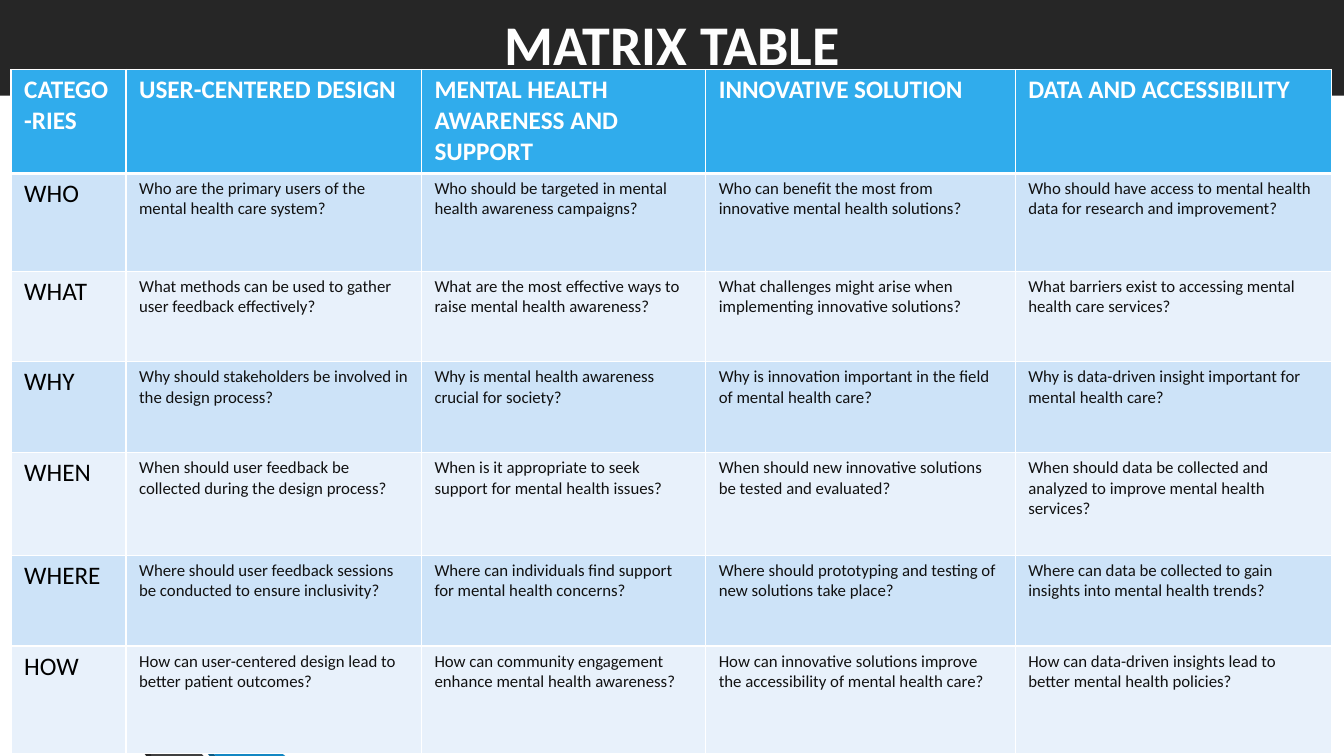
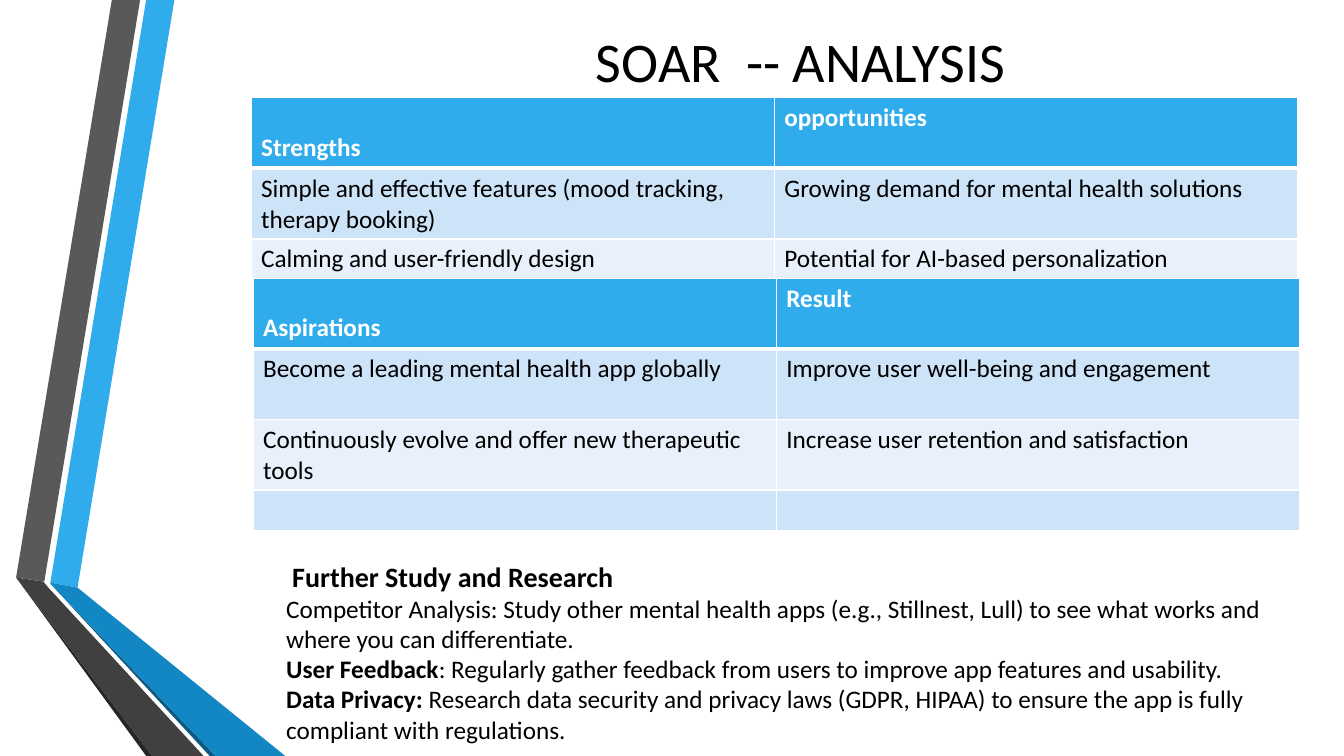
"""Build a mental health matrix slide and a SOAR analysis slide."""
import dataclasses

import lxml.etree
import pptx
import pptx.dml.color
import pptx.enum.shapes
import pptx.enum.text
import pptx.oxml
import pptx.oxml.ns
import pptx.util

ANCHOR = pptx.enum.text.MSO_ANCHOR
CENTER = pptx.enum.text.PP_ALIGN.CENTER


@dataclasses.dataclass(frozen=True)
class Theme:
    font: str = "Calibri"
    accent: str = "30ACEC"
    accent_dark: str = "1287C3"
    accent_shade: str = "0C5A82"
    gray: str = "595959"
    gray_dark: str = "404040"
    band: str = "262626"
    row_odd: str = "CDE3F8"
    row_even: str = "E8F1FB"
    white: str = "FFFFFF"
    title_light: str = "FEFEFE"
    black: str = "000000"
    question: str = "111111"
    title_size: int = 40
    heading_size: int = 20
    body_size: int = 18
    question_size: int = 12


THEME = Theme()

RIBBONS = [
    (THEME.accent, [(0.5, 5.78), (0.77, 5.83), (1.73, 0), (1.45, 0)]),
    (THEME.gray, [(1.39, 0), (1.11, 0), (0.16, 5.73), (0.44, 5.77)]),
    (THEME.band, [(0.16, 5.73), (1.45, 7.5), (1.51, 7.5)]),
    (THEME.accent_shade, [(0.5, 5.79), (2.08, 7.5), (2.14, 7.5)]),
    (THEME.accent_dark, [(0.5, 5.79), (2.14, 7.5), (2.83, 7.5), (0.77, 5.83), (0.5, 5.78)]),
    (THEME.gray_dark, [(2.02, 7.5), (0.48, 5.83), (0.43, 5.77), (0.16, 5.73), (1.51, 7.5)]),
]

MATRIX = [
    ["CATEGO-RIES", "USER-CENTERED DESIGN", "MENTAL HEALTH AWARENESS AND SUPPORT",
     "INNOVATIVE SOLUTION", "DATA AND ACCESSIBILITY"],
    ["WHO", "Who are the primary users of the mental health care system?",
     "Who should be targeted in mental health awareness campaigns?",
     "Who can benefit the most from innovative mental health solutions?",
     "Who should have access to mental health data for research and improvement?"],
    ["WHAT", "What methods can be used to gather user feedback effectively?",
     "What are the most effective ways to raise mental health awareness?",
     "What challenges might arise when implementing innovative solutions?",
     "What barriers exist to accessing mental health care services?"],
    ["WHY", "Why should stakeholders be involved in the design process?",
     "Why is mental health awareness crucial for society?",
     "Why is innovation important in the field of mental health care?",
     "Why is data-driven insight important for mental health care?"],
    ["WHEN", "When should user feedback be collected during the design process?",
     "When is it appropriate to seek support for mental health issues?",
     "When should new innovative solutions be tested and evaluated?",
     "When should data be collected and analyzed to improve mental health services?"],
    ["WHERE", "Where should user feedback sessions be conducted to ensure inclusivity?",
     "Where can individuals find support for mental health concerns?",
     "Where should prototyping and testing of new solutions take place?",
     "Where can data be collected to gain insights into mental health trends?"],
    ["HOW", "How can user-centered design lead to better patient outcomes?",
     "How can community engagement enhance mental health awareness?",
     "How can innovative solutions improve the accessibility of mental health care?",
     "How can data-driven insights lead to better mental health policies?"],
]

STRENGTHS = [
    ["Strengths", "opportunities"],
    ["Simple and effective features (mood tracking, therapy booking)",
     "Growing demand for mental health solutions"],
    ["Calming and user-friendly design", "Potential for AI-based personalization"],
    ["", ""],
]

ASPIRATIONS = [
    ["Aspirations", "Result"],
    ["Become a leading mental health app globally", "Improve user well-being and engagement"],
    ["Continuously evolve and offer new therapeutic tools",
     "Increase user retention and satisfaction"],
    ["", ""],
]

RESEARCH = [
    [("Competitor Analysis: Study other mental health apps (e.g., Stillnest, Lull) "
      "to see what works and where you can differentiate.", False)],
    [("User Feedback", True),
     (": Regularly gather feedback from users to improve app features and usability.", False)],
    [("Data Privacy:", True),
     (" Research data security and privacy laws (GDPR, HIPAA) to ensure the app is fully "
      "compliant with regulations.", False)],
]


def rgb(color):
    return pptx.dml.color.RGBColor.from_string(color)


def inches(*lengths):
    return [pptx.util.Inches(length) for length in lengths]


def drawing_xml(markup):
    return pptx.oxml.parse_xml(markup.replace(">", f" {pptx.oxml.ns.nsdecls('a')}>", 1))


def solid_xml(color):
    return f'<a:solidFill><a:srgbClr val="{color}"/></a:solidFill>'


class Deck:
    def __init__(self, theme):
        self.theme = theme
        self.presentation = pptx.Presentation()
        self.presentation.slide_width, self.presentation.slide_height = inches(13.33, 7.5)
        self.slide = None

    def add_slide(self):
        self.slide = self.presentation.slides.add_slide(self.presentation.slide_layouts[6])
        for color, outline in RIBBONS:
            self.ribbon(color, outline)

    def paint(self, shape, color):
        shape.shadow.inherit = False
        shape.fill.solid()
        shape.fill.fore_color.rgb = rgb(color)
        shape.line.fill.background()

    def ribbon(self, color, outline):
        start, *rest = [inches(*point) for point in outline]
        builder = self.slide.shapes.build_freeform(*start)
        builder.add_line_segments(rest, close=True)
        self.paint(builder.convert_to_shape(), color)

    def run(self, paragraph, text, size, color, bold=False):
        piece = paragraph.add_run()
        piece.text = text
        piece.font.name = self.theme.font
        piece.font.size = pptx.util.Pt(size)
        piece.font.bold = bold
        piece.font.color.rgb = rgb(color)
        return piece

    def title(self, holder, text, color, bold=False):
        frame = holder.text_frame
        frame.word_wrap = True
        frame.vertical_anchor = ANCHOR.MIDDLE
        frame.paragraphs[0].alignment = CENTER
        return self.run(frame.paragraphs[0], text, self.theme.title_size, color, bold)

    def plain_title(self, box, text):
        self.title(self.slide.shapes.add_textbox(*inches(*box)), text, self.theme.black)

    def band_title(self, box, text):
        band = self.slide.shapes.add_shape(
            pptx.enum.shapes.MSO_SHAPE.RECTANGLE, *inches(*box))
        self.paint(band, self.theme.band)
        heading = self.title(band, text, self.theme.title_light, bold=True)
        properties = heading.font._element
        properties.insert(0, drawing_xml(
            f'<a:ln w="9525">{solid_xml(self.theme.accent)}</a:ln>'))
        properties.find(pptx.oxml.ns.qn("a:solidFill")).addnext(drawing_xml(
            '<a:effectLst><a:outerShdw dist="25400" dir="2700000">'
            f'<a:srgbClr val="{self.theme.accent_shade}"/></a:outerShdw></a:effectLst>'))

    def borders(self, cell, row):
        widths = {"L": 1, "R": 1, "T": 3 if row == 1 else 1, "B": 3 if row == 0 else 1}
        properties = cell._tc.get_or_add_tcPr()
        for side, width in widths.items():
            properties.append(drawing_xml(
                f'<a:ln{side} w="{pptx.util.Pt(width)}">'
                f'{solid_xml(self.theme.white)}</a:ln{side}>'))

    def cell(self, cell, row, text, style, margin):
        self.borders(cell, row)
        fills = (self.theme.row_even, self.theme.row_odd)
        cell.fill.solid()
        cell.fill.fore_color.rgb = rgb(fills[row % 2] if row else self.theme.accent)
        cell.margin_left = cell.margin_right = pptx.util.Inches(margin)
        if text:
            self.run(cell.text_frame.paragraphs[0], text, *style)

    def table(self, left, top, widths, heights, content, margin=0.1, detail=None):
        theme = self.theme
        header = (theme.body_size, theme.white, True)
        body = (theme.body_size, theme.black)
        grid = self.slide.shapes.add_table(
            len(heights), len(widths),
            *inches(left, top, sum(widths), sum(heights))).table
        for column, width in zip(grid.columns, inches(*widths)):
            column.width = width
        for line, height in zip(grid.rows, inches(*heights)):
            line.height = height
        for row, texts in enumerate(content):
            for column, text in enumerate(texts):
                style = header if row == 0 else detail if detail and column else body
                self.cell(grid.cell(row, column), row, text, style, margin)
        return grid

    def soar_table(self, left, top, heights, content):
        grid = self.table(left, top, [5.19, 5.19], heights, content)
        grid.cell(0, 0).vertical_anchor = ANCHOR.BOTTOM

    def study_notes(self, box, heading, notes):
        frame = self.slide.shapes.add_textbox(*inches(*box)).text_frame
        frame.word_wrap = True
        frame.auto_size = pptx.enum.text.MSO_AUTO_SIZE.SHAPE_TO_FIT_TEXT
        opening = frame.paragraphs[0]
        opening._p.get_or_add_pPr().set("marL", str(pptx.util.Inches(0.06)))
        self.run(opening, heading, self.theme.heading_size, self.theme.black, True)
        for note in notes:
            paragraph = frame.add_paragraph()
            for text, bold in note:
                self.run(paragraph, text, self.theme.body_size, self.theme.black, bold)


def main():
    deck = Deck(THEME)

    deck.add_slide()
    deck.band_title((0, -0.1, 13.33, 1.05), "MATRIX TABLE")
    deck.table(0.11, 0.69, [1.14, 2.93, 2.82, 3.07, 3.14],
               [1.03, 0.97, 0.9, 0.9, 1.02, 0.9, 1.07], MATRIX, margin=0.13,
               detail=(THEME.question_size, THEME.question))

    deck.add_slide()
    deck.plain_title((2.46, -0.09, 10.96, 1.37), "SOAR  -- ANALYSIS")
    deck.soar_table(2.49, 0.97, [0.7, 0.7, 0.4, 0.4], STRENGTHS)
    deck.soar_table(2.51, 2.76, [0.7, 0.7, 0.7, 0.4], ASPIRATIONS)
    deck.study_notes((2.74, 5.5, 10.41, 2), "Further Study and Research", RESEARCH)

    deck.presentation.save("out.pptx")


if __name__ == "__main__":
    main()
